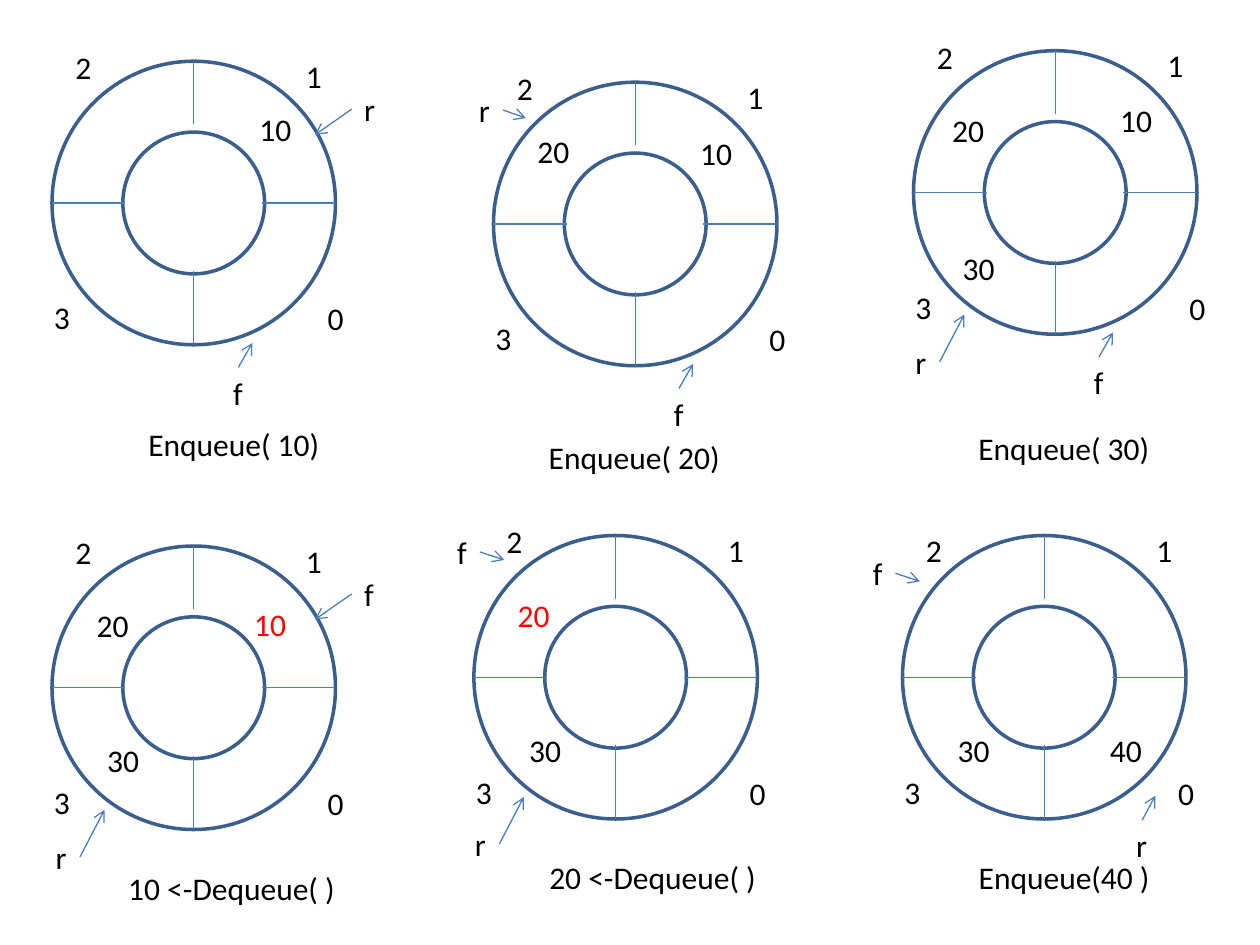
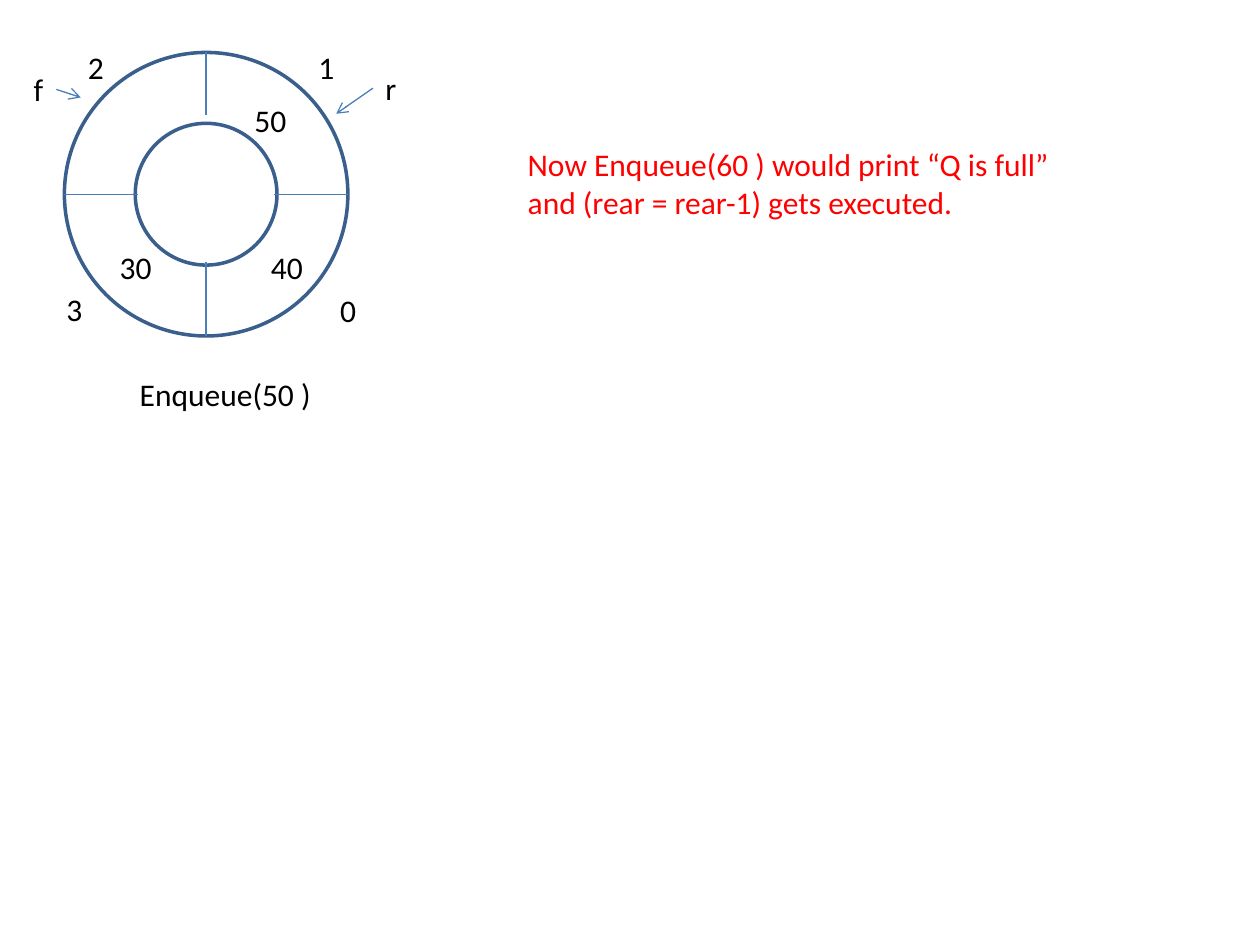
from dataclasses import dataclass

from lxml import etree
from pptx import Presentation
from pptx.dml.color import RGBColor as Rgb
from pptx.enum.shapes import MSO_CONNECTOR as Link, MSO_SHAPE as Shape
from pptx.enum.text import MSO_AUTO_SIZE as Fit
from pptx.oxml.ns import qn
from pptx.util import Pt


@dataclass(frozen=True)
class Theme:
    font: str = "Calibri"
    size: float = 18
    ink: Rgb = Rgb(0, 0, 0)
    alert: Rgb = Rgb(0xFF, 0, 0)
    rim: Rgb = Rgb(0x3A, 0x5F, 0x8C)
    line: Rgb = Rgb(0x4B, 0x7E, 0xBC)
    thick: float = 2
    thin: float = 0.75


THEME = Theme()
DIAM = 162
MID = DIAM / 2
ROW = 28.8
DIGIT, PAIR = 24, 33
MARKS = {"f": 20, "r": 21}  # label widths

# Slot number positions, from the ring's corner
SLOTS = {"0": (150.5, 132.5), "1": (138, -6), "3": (-6, 132)}
SPOKES = [
    (120, MID, DIAM, MID),
    (0, MID, 42, MID),
    (MID, 0, MID, 36),
    (MID, 120, MID, DIAM),
]
# Pointer style: side of the label where it starts, tip from the label's corner
AIMS = {
    "up": (0, 18, -14),
    "left": (1, -21, 29),
    "down": (3, 34, 19),
    "rise": (3, 35, -12.5),
}


# Text: one box, one paragraph for each line
def label(slide, text, x, y, width, color=THEME.ink, height=ROW):
    box = slide.shapes.add_textbox(Pt(x), Pt(y), Pt(width), Pt(height))
    frame = box.text_frame
    frame.word_wrap = False
    frame.auto_size = Fit.SHAPE_TO_FIT_TEXT
    frame.text = text
    for para in frame.paragraphs:
        for run in para.runs:
            run.font.name = THEME.font
            run.font.size = Pt(THEME.size)
            run.font.color.rgb = color
    return box


# Thin line without shadow, with an open arrowhead on request
def wire(slide, x1, y1, x2, y2, head=False):
    link = slide.shapes.add_connector(
        Link.STRAIGHT, Pt(x1), Pt(y1), Pt(x2), Pt(y2))
    link.line.color.rgb = THEME.line
    link.line.width = Pt(THEME.thin)
    if head:
        etree.SubElement(link.line._get_or_add_ln(), qn("a:tailEnd"), type="arrow")
    etree.SubElement(link._element.spPr, qn("a:effectLst"))
    return link


# Front or rear mark with its arrow
def point(slide, name, aim, x, y):
    box = label(slide, name, x, y, MARKS[name])
    side, dx, dy = AIMS[aim]
    link = wire(slide, x, y, x + dx, y + dy, head=True)
    link.begin_connect(box, side)


# Queue ring: four slots, values, marks and a caption
def ring(slide, x, y, title, cells, marks, two=(6.3, -11)):
    disc = slide.shapes.add_shape(Shape.DONUT, Pt(x), Pt(y), Pt(DIAM), Pt(DIAM))
    disc.shadow.inherit = False
    disc.fill.background()
    disc.line.color.rgb = THEME.rim
    disc.line.width = Pt(THEME.thick)
    for x1, y1, x2, y2 in SPOKES:
        wire(slide, x + x1, y + y1, x + x2, y + y2)
    for name, (dx, dy) in {**SLOTS, "2": two}.items():
        label(slide, name, x + dx, y + dy, DIGIT)
    for value, dx, dy, *color in cells:
        label(slide, value, x + dx, y + dy, PAIR, *color)
    for name, aim, dx, dy in marks:
        point(slide, name, aim, x + dx, y + dy)
    text, dx, dy = title
    label(slide, text, x + dx, y + dy, 135 if "Dequeue" in text else 114)


# Slide 1: three enqueues, two dequeues, one enqueue
def steps(slide):
    ring(slide, 29.7, 35, ("Enqueue( 10)", 48, 204.5),
         [("10", 111.5, 24.5)],
         [("f", "up", 96.5, 175), ("r", "left", 171.3, 13)])
    ring(slide, 282, 47, ("Enqueue( 20)", 24.5, 200),
         [("10", 111, 26), ("20", 18, 25)],
         [("f", "up", 96, 175), ("r", "down", -15.5, 1.5)])
    ring(slide, 522, 29, ("Enqueue( 30)", 30, 212.4),
         [("10", 111, 25), ("20", 15, 31), ("30", 21, 110)],
         [("f", "up", 96, 175), ("r", "rise", -6, 163.3)])
    ring(slide, 29.7, 312, ("10 <-Dequeue( )", 36.5, 181.3),
         [("10", 108.5, 30, THEME.alert), ("20", 18.5, 31), ("30", 24.5, 108)],
         [("f", "left", 171.3, 13), ("r", "rise", -5, 163.3)])
    ring(slide, 270.8, 306, ("20 <-Dequeue( )", 36, 180.7),
         [("20", 18, 31, THEME.alert), ("30", 24.5, 108)],
         [("f", "down", -16.6, -5), ("r", "rise", -6.5, 162)],
         two=(11.5, -11))
    ring(slide, 515.7, 306, ("Enqueue(40 )", 36.5, 180.7),
         [("30", 24.5, 108), ("40", 111.5, 108)],
         [("f", "down", -24, 7.2), ("r", "up", 126.5, 162.7)],
         two=(6.3, -6))


# Slide 2: the queue fills up
def full(slide):
    ring(slide, 36.8, 30, ("Enqueue(50 )", 36, 181),
         [("30", 24.5, 108), ("40", 111, 108), ("50", 101.5, 24)],
         [("r", "left", 176.3, 6), ("f", "down", -24.6, 6.7)],
         two=(6.3, -6))
    label(slide,
          "Now Enqueue(60 ) would print “Q is full”\n"
          "and (rear = rear-1) gets executed.",
          294.5, 79.2, 316, THEME.alert, 51)


def main():
    deck = Presentation()
    deck.slide_width, deck.slide_height = Pt(720), Pt(540)
    blank = deck.slide_layouts[6]
    for draw in (steps, full):
        draw(deck.slides.add_slide(blank))
    deck.save("out.pptx")


if __name__ == "__main__":
    main()
